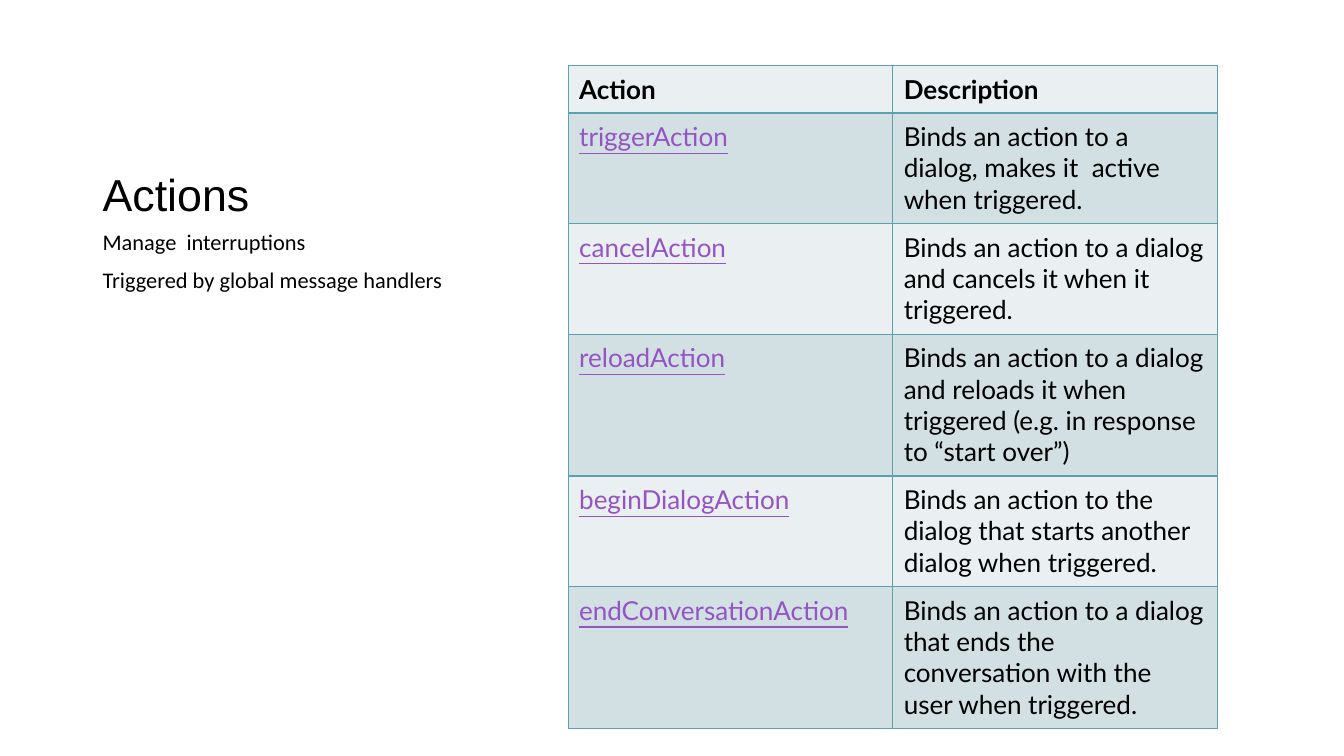
from dataclasses import dataclass

import pptx
import pptx.dml.color
import pptx.enum.text
import pptx.oxml
import pptx.oxml.ns
import pptx.slide
import pptx.table
import pptx.text.text
import pptx.util

Pt = pptx.util.Pt
Anchor = pptx.enum.text.MSO_ANCHOR

COLORS = {
    "text": "000000",
    "link": "9454C3",
    "border": "5AA2AE",
    "light": "EAF0F2",
    "dark": "D2E0E3",
}

TITLE_FORMAT = {"name": "Arial", "size": Pt(32.6)}
NOTES_FORMAT = {"name": "Calibri", "size": Pt(16.3)}
HEADER_FORMAT = {"name": "Lato", "size": Pt(19), "bold": True}
LINK_FORMAT = {"name": "Lato", "size": Pt(19), "underline": True}
DESCRIPTION_FORMAT = {"name": "Lato", "size": Pt(19)}
CELL_FRAME = {
    "margin_left": Pt(8),
    "margin_right": Pt(8),
    "margin_top": Pt(5.76),
    "margin_bottom": Pt(5.76),
}


@dataclass
class TextBlock:
    lines: list[str]
    top: float
    height: float
    anchor: Anchor
    font: dict


@dataclass
class ActionRow:
    action: str
    description: str
    height: float


TEXT_LEFT, TEXT_WIDTH = 67.7, 316
TEXT_BLOCKS = [
    TextBlock(["Actions"], 36.7, 128.2, Anchor.BOTTOM, TITLE_FORMAT),
    TextBlock(
        ["Manage  interruptions", "Triggered by global message handlers"],
        164.9, 306, Anchor.TOP, NOTES_FORMAT,
    ),
]

TABLE_LEFT, TABLE_TOP, COLUMN_WIDTH = 414, 47.5, 236.5
ACTION_ROWS = [
    ActionRow("Action", "Description", 34.8),
    ActionRow("triggerAction",
              "Binds an action to a dialog, makes it  active when triggered.", 80.6),
    ActionRow("cancelAction",
              "Binds an action to a dialog and cancels it when it triggered.", 80.6),
    ActionRow("reloadAction",
              "Binds an action to a dialog and reloads it when triggered "
              "(e.g. in response to “start over”)", 103.4),
    ActionRow("beginDialogAction",
              "Binds an action to the dialog that starts another dialog when triggered.", 80.6),
    ActionRow("endConversationAction",
              "Binds an action to a dialog that ends the conversation "
              "with the user when triggered.", 103.4),
]


def rgb(color: str) -> pptx.dml.color.RGBColor:
    return pptx.dml.color.RGBColor.from_string(COLORS[color])


def apply(target: object, values: dict) -> None:
    for attribute, value in values.items():
        setattr(target, attribute, value)


def write(paragraph: pptx.text.text._Paragraph, text: str, font: dict, color: str) -> None:
    run = paragraph.add_run()
    run.text = text
    apply(run.font, font)
    run.font.color.rgb = rgb(color)


def draw_text(slide: pptx.slide.Slide, block: TextBlock) -> None:
    frame = slide.shapes.add_textbox(
        Pt(TEXT_LEFT), Pt(block.top), Pt(TEXT_WIDTH), Pt(block.height)
    ).text_frame
    apply(frame, {"word_wrap": True, "vertical_anchor": block.anchor})
    for index, line in enumerate(block.lines):
        paragraph = frame.add_paragraph() if index else frame.paragraphs[0]
        spacing = {"line_spacing": 0.9, "space_before": Pt(10.2 if index else 0)}
        apply(paragraph, spacing)
        write(paragraph, line, block.font, "text")


def draw_borders(cell: pptx.table._Cell) -> None:
    properties = cell._tc.get_or_add_tcPr()
    for side in ("lnL", "lnR", "lnT", "lnB"):
        properties.append(pptx.oxml.parse_xml(
            f'<a:{side} {pptx.oxml.ns.nsdecls("a")} w="{Pt(1)}"><a:solidFill>'
            f'<a:srgbClr val="{COLORS["border"]}"/></a:solidFill></a:{side}>'
        ))


def draw_cell(cell: pptx.table._Cell, text: str, font: dict, color: str, fill: str) -> None:
    apply(cell, CELL_FRAME)
    draw_borders(cell)
    cell.fill.solid()
    cell.fill.fore_color.rgb = rgb(fill)
    write(cell.text_frame.paragraphs[0], text, font, color)


def draw_table(slide: pptx.slide.Slide, rows: list[ActionRow]) -> None:
    table = slide.shapes.add_table(
        len(rows), 2, Pt(TABLE_LEFT), Pt(TABLE_TOP),
        Pt(2 * COLUMN_WIDTH), Pt(sum(row.height for row in rows)),
    ).table
    apply(table, {"first_row": False, "horz_banding": False})
    for column in table.columns:
        column.width = Pt(COLUMN_WIDTH)
    for index, row in enumerate(rows):
        table.rows[index].height = Pt(row.height)
        fill = "dark" if index % 2 else "light"
        action_font = LINK_FORMAT if index else HEADER_FORMAT
        description_font = DESCRIPTION_FORMAT if index else HEADER_FORMAT
        action, description = table.rows[index].cells
        draw_cell(action, row.action, action_font, "link" if index else "text", fill)
        draw_cell(description, row.description, description_font, "text", fill)
    for header in table.rows[0].cells:
        header.vertical_anchor = Anchor.BOTTOM


def main() -> None:
    presentation = pptx.Presentation()
    apply(presentation, {"slide_width": Pt(979.2), "slide_height": Pt(550.8)})
    slide = presentation.slides.add_slide(presentation.slide_layouts[6])

    # Title and notes on the left
    for block in TEXT_BLOCKS:
        draw_text(slide, block)

    # Table of actions on the right
    draw_table(slide, ACTION_ROWS)

    presentation.save("out.pptx")


if __name__ == "__main__":
    main()
